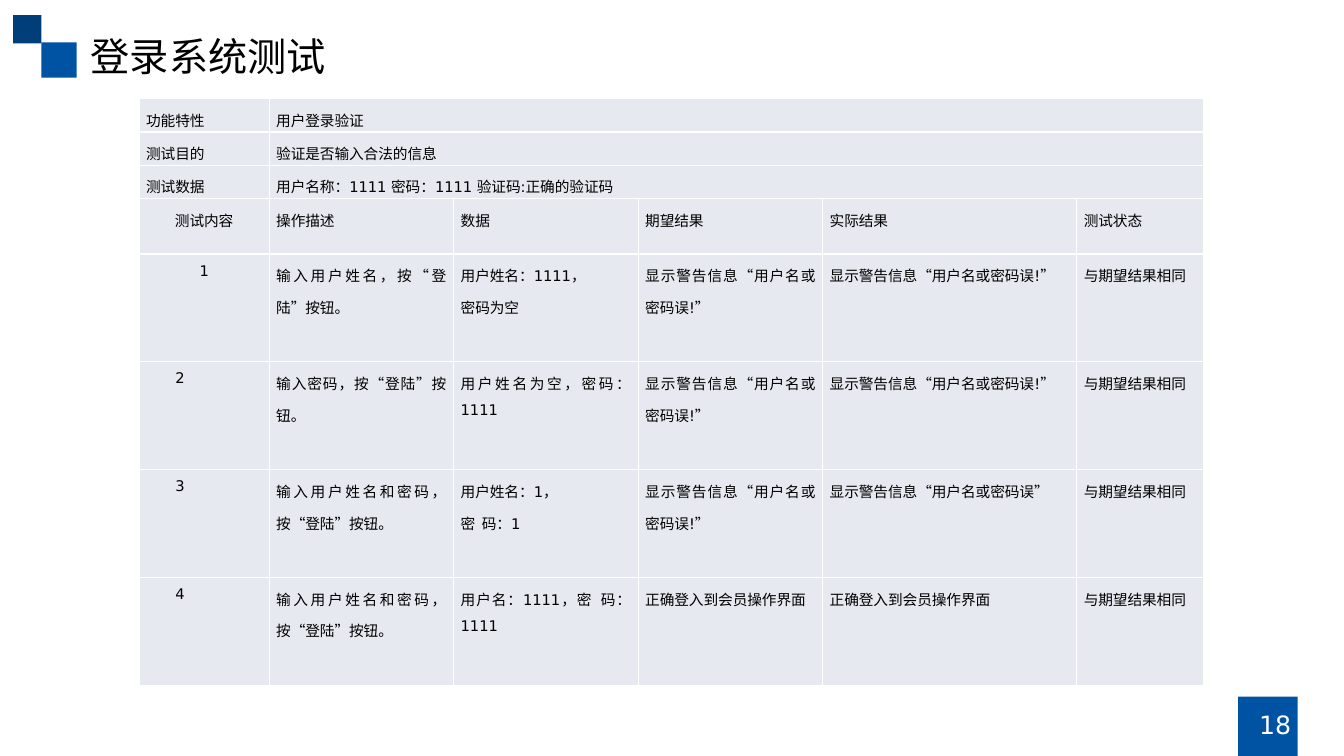
from dataclasses import dataclass

from lxml.etree import SubElement
from pptx import Presentation
from pptx.dml.color import RGBColor
from pptx.enum.shapes import MSO_SHAPE as Shape
from pptx.enum.text import MSO_ANCHOR as Anchor, PP_ALIGN as Align
from pptx.oxml.ns import qn
from pptx.util import Inches, Pt


@dataclass(frozen=True)
class Theme:
    latin: str = "DejaVu Sans"
    chinese: str = "Noto Sans CJK SC"
    black: str = "000000"
    white: str = "FFFFFF"
    blue: str = "0053A3"
    navy: str = "003E7A"
    cell: str = "E7E9F0"
    title_size: float = 28
    number_size: float = 18
    table_size: float = 10.5
    border_width: float = 1


class SlideBuilder:
    def __init__(self, page, theme):
        self.page = page
        self.theme = theme

    def style(self, para, size, color, latin=None):
        font = para.font
        font.size = Pt(size)
        font.color.rgb = RGBColor.from_string(color)
        font.name = latin or self.theme.latin
        SubElement(font._element, qn("a:ea")).set("typeface", self.theme.chinese)

    def square(self, left, top, side, color):
        box = self.page.shapes.add_shape(
            Shape.RECTANGLE, Inches(left), Inches(top), Inches(side), Inches(side))
        box.shadow.inherit = False
        box.fill.solid()
        box.fill.fore_color.rgb = RGBColor.from_string(color)
        box.line.fill.background()

    def title(self, text, left, top, width, height):
        box = self.page.shapes.title
        box.left, box.top = Inches(left), Inches(top)
        box.width, box.height = Inches(width), Inches(height)
        frame = box.text_frame
        frame.text = text
        frame.vertical_anchor = Anchor.MIDDLE
        para = frame.paragraphs[0]
        para.alignment = Align.LEFT
        self.style(para, self.theme.title_size, self.theme.black, self.theme.chinese)

    def page_number(self, text, left, top, width, height):
        box = self.page.shapes.add_textbox(
            Inches(left), Inches(top), Inches(width), Inches(height))
        frame = box.text_frame
        frame.word_wrap = True
        frame.text = text
        self.style(frame.paragraphs[0], self.theme.number_size, self.theme.white)

    def table(self, left, top, widths, heights):
        table = self.page.shapes.add_table(
            len(heights), len(widths), Inches(left), Inches(top),
            Inches(sum(widths)), Inches(sum(heights))).table
        table.first_row = table.horz_banding = False
        for column, width in zip(table.columns, widths):
            column.width = Inches(width)
        for row, height in zip(table.rows, heights):
            row.height = Inches(height)
        for cell in table.iter_cells():
            self.format_cell(cell)
        return table

    def format_cell(self, cell):
        cell.margin_left = cell.margin_right = Inches(0.07)
        cell.margin_top = cell.margin_bottom = 0
        # Borders come before the fill in the cell properties
        props = cell._tc.get_or_add_tcPr()
        for side in ("a:lnL", "a:lnR", "a:lnT", "a:lnB"):
            line = SubElement(props, qn(side), w=str(Pt(self.theme.border_width)))
            fill = SubElement(line, qn("a:solidFill"))
            SubElement(fill, qn("a:srgbClr"), val=self.theme.white)
        cell.fill.solid()
        cell.fill.fore_color.rgb = RGBColor.from_string(self.theme.cell)

    def cell_text(self, cell, text, alignment=Align.JUSTIFY, indent=0):
        cell.text = text
        for para in cell.text_frame.paragraphs:
            para.alignment = alignment
            para.line_spacing = 1.5
            if indent:
                para._p.get_or_add_pPr().set("marL", str(Inches(indent)))
            self.style(para, self.theme.table_size, self.theme.black)


WARNING = "显示警告信息“用户名或密码误!”"
MEMBER_PAGE = "正确登入到会员操作界面"
FILL_BOTH = "输入用户姓名和密码，按“登陆”按钮。"
SAME = "与期望结果相同"

SUMMARY = [
    ("功能特性", "用户登录验证"),
    ("测试目的", "验证是否输入合法的信息"),
    ("测试数据", "用户名称：1111 密码：1111 验证码:正确的验证码"),
]
CASES = [
    ("测试内容", "操作描述", "数据", "期望结果", "实际结果", "测试状态"),
    ("1", "输入用户姓名，按“登陆”按钮。", "用户姓名：1111，\n密码为空", WARNING, WARNING, SAME),
    ("2", "输入密码，按“登陆”按钮。", "用户姓名为空，密码：1111", WARNING, WARNING, SAME),
    ("3", FILL_BOTH, "用户姓名：1，\n密  码：1", WARNING, "显示警告信息“用户名或密码误”", SAME),
    ("4", FILL_BOTH, "用户名：1111，密  码：1111", MEMBER_PAGE, MEMBER_PAGE, SAME),
]


def main():
    deck = Presentation()
    deck.slide_width, deck.slide_height = Inches(13.33), Inches(7.5)
    theme = Theme()
    builder = SlideBuilder(deck.slides.add_slide(deck.slide_layouts[5]), theme)

    # Corner squares and title
    builder.square(0.41, 0.42, 0.35, theme.blue)
    builder.square(0.13, 0.15, 0.28, theme.navy)
    builder.title("登录系统测试", 0.8, 0.27, 7.53, 0.57)

    # Page number
    builder.square(12.28, 6.91, 0.59, theme.blue)
    builder.page_number("18", 12.39, 6.99, 0.58, 0.4)

    # Test table: summary rows span all columns after the label
    widths = [1.29] + [1.83] * 3 + [2.52, 1.26]
    heights = [0.33] * len(SUMMARY) + [0.55] + [1.07] * (len(CASES) - 1)
    table = builder.table(1.38, 0.98, widths, heights)
    for row, (label, text) in enumerate(SUMMARY):
        table.cell(row, 1).merge(table.cell(row, len(widths) - 1))
        builder.cell_text(table.cell(row, 0), label)
        builder.cell_text(table.cell(row, 1), text)

    # Header and first case are centred, later case numbers are indented
    for index, (label, *texts) in enumerate(CASES):
        row = len(SUMMARY) + index
        if index < 2:
            builder.cell_text(table.cell(row, 0), label, Align.CENTER)
        else:
            builder.cell_text(table.cell(row, 0), label, indent=0.29)
        for column, text in enumerate(texts, start=1):
            builder.cell_text(table.cell(row, column), text)

    deck.save("out.pptx")


if __name__ == "__main__":
    main()
